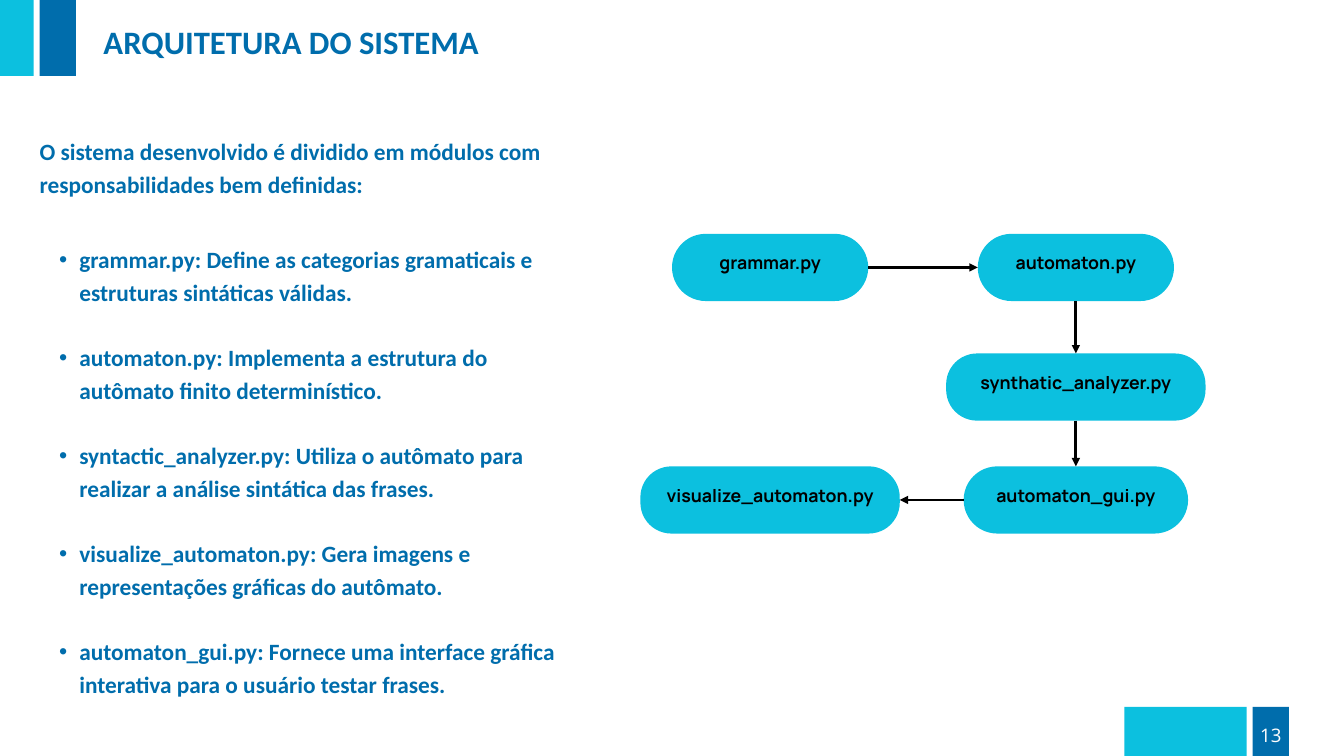
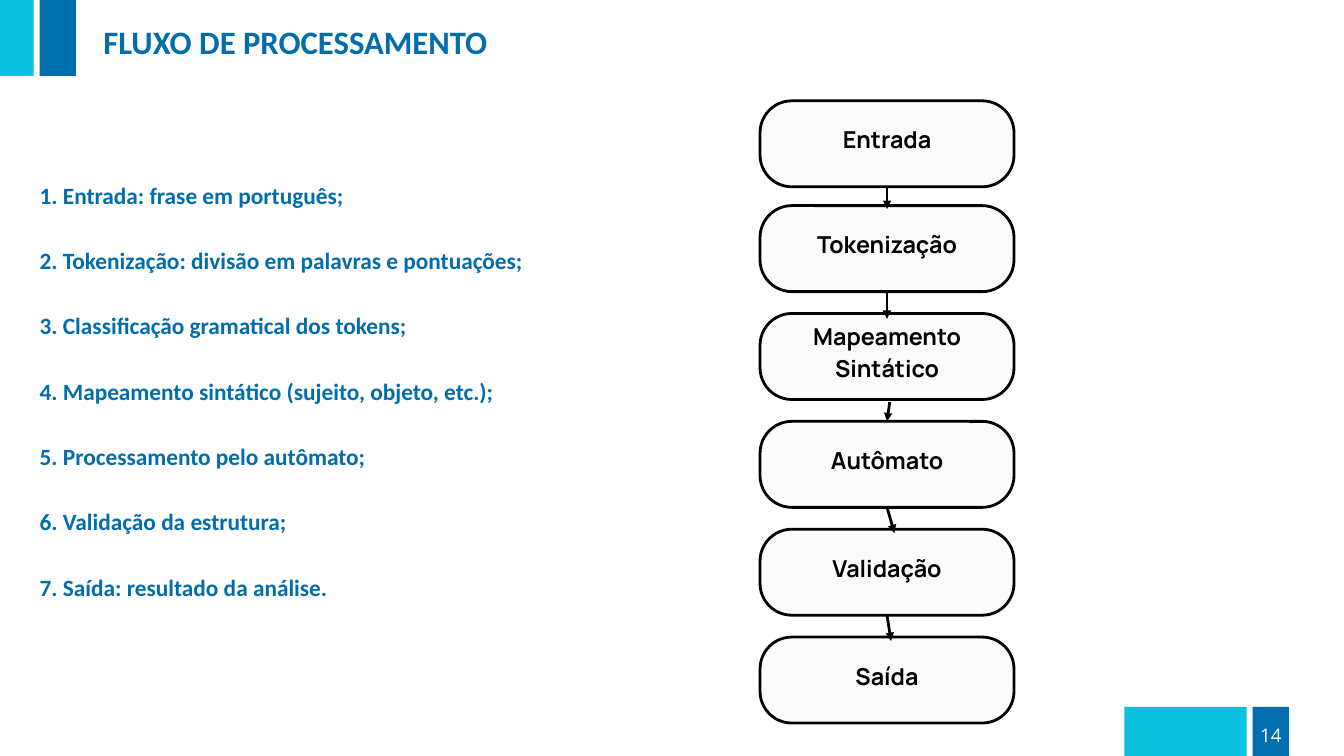
from dataclasses import dataclass

from pptx import Presentation
from pptx import util as u
from pptx.dml.color import RGBColor
from pptx.enum import shapes, text
from pptx.oxml import ns
from pptx.oxml.xmlchemy import OxmlElement
from pptx.slide import Slide

# Grid: 20 columns by 11.25 rows over the whole slide
SLIDE_WIDTH, SLIDE_HEIGHT = u.Inches(20), u.Inches(11.25)
COLUMNS, ROWS = 20, 11.25

# Shared palette and type
CYAN, BLUE, BLACK, WHITE, PAPER = "0CC0DF", "006DAC", "000000", "FFFFFF", "FCFBFB"
BODY_FONT, NODE_FONT, NUMBER_FONT = "Calibri", "Manrope", "Open Sans"
BODY_SIZE = 25
LEADING, TITLE_LEADING = 1.4, 1.22
LINE_WIDTH = u.Pt(3)
TOP, LEFT, BOTTOM, RIGHT = range(4)


@dataclass(frozen=True)
class Area:
    left: float
    top: float
    width: float
    height: float

    def box(self) -> tuple:
        return column(self.left), row(self.top), column(self.width), row(self.height)

    def side(self, index: int) -> tuple:
        middle_x, middle_y = self.left + self.width / 2, self.top + self.height / 2
        return ((middle_x, self.top), (self.left, middle_y),
                (middle_x, self.top + self.height), (self.left + self.width, middle_y))[index]


@dataclass(frozen=True)
class Band:
    area: Area
    color: str


@dataclass(frozen=True)
class Style:
    font: str
    size: float
    color: str
    bold: bool = True
    leading: float = LEADING
    align: text.PP_ALIGN = text.PP_ALIGN.LEFT


@dataclass(frozen=True)
class Node:
    label: str
    area: Area
    radius: float


@dataclass(frozen=True)
class Link:
    source: int
    source_side: int
    target: int
    target_side: int
    source_shift: tuple = (0, 0)
    target_shift: tuple = (0, 0)


BAND_HEIGHT, WIDE, NARROW = 1.61, 1.82, 0.54
HEADER_TOP, FOOTER_TOP = -0.48, 10.52
BANDS = [
    Band(Area(-1.32, HEADER_TOP, WIDE, BAND_HEIGHT), CYAN),
    Band(Area(0.59, HEADER_TOP, NARROW, BAND_HEIGHT), BLUE),
    Band(Area(16.73, FOOTER_TOP, WIDE, BAND_HEIGHT), CYAN),
    Band(Area(18.64, FOOTER_TOP, NARROW, BAND_HEIGHT), BLUE),
]
TITLE_AREA = Area(1.54, 0.32, 9.31, 0.57)
NUMBER_AREA = Area(18.75, 10.71, 0.32, 0.37)

CENTER = text.PP_ALIGN.CENTER
TITLE_STYLE = Style(BODY_FONT, 35, BLUE, leading=TITLE_LEADING)
BODY_STYLE = Style(BODY_FONT, BODY_SIZE, BLUE)
NUMBER_STYLE = Style(NUMBER_FONT, 20, WHITE, bold=False, align=CENTER)
MODULE_STYLE = Style(NODE_FONT, 19, BLACK, align=CENTER)
STEP_STYLE = Style(NODE_FONT, 25, BLACK, align=CENTER)

# Slide 1 content: modules
INTRODUCTION = "O sistema desenvolvido é dividido em módulos com responsabilidades bem definidas:"
MODULE_NOTES = [
    "grammar.py: Define as categorias gramaticais e estruturas sintáticas válidas.",
    "automaton.py: Implementa a estrutura do autômato finito determinístico.",
    "syntactic_analyzer.py: Utiliza o autômato para realizar a análise sintática das frases.",
    "visualize_automaton.py: Gera imagens e representações gráficas do autômato.",
    "automaton_gui.py: Fornece uma interface gráfica interativa para o usuário testar frases.",
]
MODULES = [
    Node("grammar.py", Area(10, 3.48, 2.92, 1), 0.5),
    Node("automaton.py", Area(14.55, 3.48, 2.92, 1), 0.5),
    Node("synthatic_analyzer.py", Area(14.08, 5.26, 3.86, 1), 0.46),
    Node("automaton_gui.py", Area(14.34, 6.94, 3.34, 1), 0.5),
    Node("visualize_automaton.py", Area(9.53, 6.94, 3.86, 1), 0.46),
]
MODULE_LINKS = [
    Link(0, RIGHT, 1, LEFT),
    Link(3, LEFT, 4, RIGHT),
    Link(1, BOTTOM, 2, TOP),
    Link(2, BOTTOM, 3, TOP),
]

# Slide 2 content: processing steps
STEP_NOTES = [
    "1. Entrada: frase em português;",
    "2. Tokenização: divisão em palavras e pontuações;",
    "3. Classificação gramatical dos tokens;",
    "4. Mapeamento sintático (sujeito, objeto, etc.);",
    "5. Processamento pelo autômato;",
    "6. Validação da estrutura;",
    "7. Saída: resultado da análise.",
]
STEP_NAMES = ["Entrada", "Tokenização", "Mapeamento Sintático", "Autômato", "Validação", "Saída"]
STEP_TOPS = [1.5] + [3.06 + index * (9.48 - 3.06) / 4 for index in range(5)]
STEPS = [Node(name, Area(11.31, top, 3.78, 1.28), 0.37)
         for name, top in zip(STEP_NAMES, STEP_TOPS)]
STEP_SHIFTS = [
    ((0, 0), (0, 0.05)),
    ((0, 0), (0, 0.08)),
    ((0.04, 0.04), (0, 0)),
    ((0, 0), (0.11, 0.06)),
    ((0, 0), (0.06, 0.06)),
]
STEP_LINKS = [Link(index, BOTTOM, index + 1, TOP, *shifts)
              for index, shifts in enumerate(STEP_SHIFTS)]


def column(count: float) -> int:
    return round(SLIDE_WIDTH * count / COLUMNS)


def row(count: float) -> int:
    return round(SLIDE_HEIGHT * count / ROWS)


def color(value: str) -> RGBColor:
    return RGBColor.from_string(value)


def place(shape, area: Area) -> None:
    shape.left, shape.top, shape.width, shape.height = area.box()


def add_bullet(paragraph) -> None:
    properties = paragraph._p.get_or_add_pPr()
    properties.set("marL", str(column(0.59)))
    properties.set("indent", str(-column(0.3)))
    for tag, name, value in (("a:buFont", "typeface", "Arial"), ("a:buChar", "char", "•")):
        element = OxmlElement(tag)
        element.set(name, value)
        properties.append(element)


def write(frame, lines: list[str], style: Style, bulleted: bool = False,
          gap: float = 0, wrap: bool = True) -> None:
    frame.word_wrap = wrap
    frame.auto_size = text.MSO_AUTO_SIZE.NONE
    frame.vertical_anchor = text.MSO_ANCHOR.TOP
    frame.margin_left = frame.margin_top = frame.margin_right = frame.margin_bottom = 0
    for index, line in enumerate(lines):
        paragraph = frame.add_paragraph() if index else frame.paragraphs[0]
        if bulleted:
            paragraph.level = 1
            add_bullet(paragraph)
        paragraph.alignment = style.align
        paragraph.line_spacing = u.Pt(style.size * style.leading)
        paragraph.space_before = u.Pt(gap if index else 0)
        run = paragraph.add_run()
        run.text = line
        run.font.name, run.font.size, run.font.bold = style.font, u.Pt(style.size), style.bold
        run.font.color.rgb = color(style.color)


def add_text(slide: Slide, area: Area, lines: list[str], style: Style, **options) -> None:
    write(slide.shapes.add_textbox(*area.box()).text_frame, lines, style, **options)


def add_block(slide: Slide, kind: shapes.MSO_SHAPE, area: Area, fill: str, outlined: bool = False):
    shape = slide.shapes.add_shape(kind, *area.box())
    shape.shadow.inherit = False
    shape.fill.solid()
    shape.fill.fore_color.rgb = color(fill)
    if outlined:
        shape.line.color.rgb = color(BLACK)
        shape.line.width = LINE_WIDTH
    else:
        shape.line.fill.background()
    return shape


def add_node(slide: Slide, node: Node, style: Style, fill: str, outlined: bool):
    shape = add_block(slide, shapes.MSO_SHAPE.ROUNDED_RECTANGLE, node.area, fill, outlined)
    shape.adjustments[0] = node.radius
    frame = shape.text_frame
    write(frame, [node.label], style)
    frame.vertical_anchor = text.MSO_ANCHOR.MIDDLE
    frame.margin_bottom = row(0.2)  # lifts the label above the middle
    return shape


def add_link(slide: Slide, link: Link, nodes: list[Node], drawn: list) -> None:
    start_x, start_y = nodes[link.source].area.side(link.source_side)
    end_x, end_y = nodes[link.target].area.side(link.target_side)
    connector = slide.shapes.add_connector(
        shapes.MSO_CONNECTOR.STRAIGHT,
        column(start_x + link.source_shift[0]), row(start_y + link.source_shift[1]),
        column(end_x + link.target_shift[0]), row(end_y + link.target_shift[1]))
    if not any(link.source_shift):
        connector.begin_connect(drawn[link.source], link.source_side)
    if not any(link.target_shift):
        connector.end_connect(drawn[link.target], link.target_side)
    connector.line.color.rgb = color(BLACK)
    connector.line.width = LINE_WIDTH
    properties = connector._element.spPr
    arrow = OxmlElement("a:tailEnd")
    arrow.set("type", "triangle")
    properties.find(ns.qn("a:ln")).append(arrow)
    properties.append(OxmlElement("a:effectLst"))


def add_flow(slide: Slide, nodes: list[Node], links: list[Link], style: Style,
             fill: str, outlined: bool = False) -> None:
    drawn = [add_node(slide, node, style, fill, outlined) for node in nodes]
    for link in links:
        add_link(slide, link, nodes, drawn)


def add_framed_slide(presentation, title: str, number: int) -> Slide:
    slide = presentation.slides.add_slide(presentation.slide_layouts[5])
    slide.background.fill.solid()
    slide.background.fill.fore_color.rgb = color(WHITE)
    for band in BANDS:
        add_block(slide, shapes.MSO_SHAPE.RECTANGLE, band.area, band.color)
    place(slide.shapes.title, TITLE_AREA)
    write(slide.shapes.title.text_frame, [title], TITLE_STYLE)
    add_text(slide, NUMBER_AREA, [str(number)], NUMBER_STYLE, wrap=False)
    return slide


def main() -> None:
    presentation = Presentation()
    presentation.slide_width, presentation.slide_height = SLIDE_WIDTH, SLIDE_HEIGHT
    gap = BODY_SIZE * LEADING

    # Slide 1: system architecture
    slide = add_framed_slide(presentation, "ARQUITETURA DO SISTEMA", 13)
    add_text(slide, Area(0.59, 1.97, 8.72, 0.94), [INTRODUCTION], BODY_STYLE)
    add_text(slide, Area(0.59, 3.58, 7.67, 7.64), MODULE_NOTES, BODY_STYLE, bulleted=True, gap=gap)
    add_flow(slide, MODULES, MODULE_LINKS, MODULE_STYLE, CYAN)

    # Slide 2: processing flow
    slide = add_framed_slide(presentation, "FLUXO DE PROCESSAMENTO", 14)
    add_text(slide, Area(0.59, 2.62, 7.67, 6.69), STEP_NOTES, BODY_STYLE, gap=gap)
    add_flow(slide, STEPS, STEP_LINKS, STEP_STYLE, PAPER, outlined=True)

    presentation.save("out.pptx")


if __name__ == "__main__":
    main()
